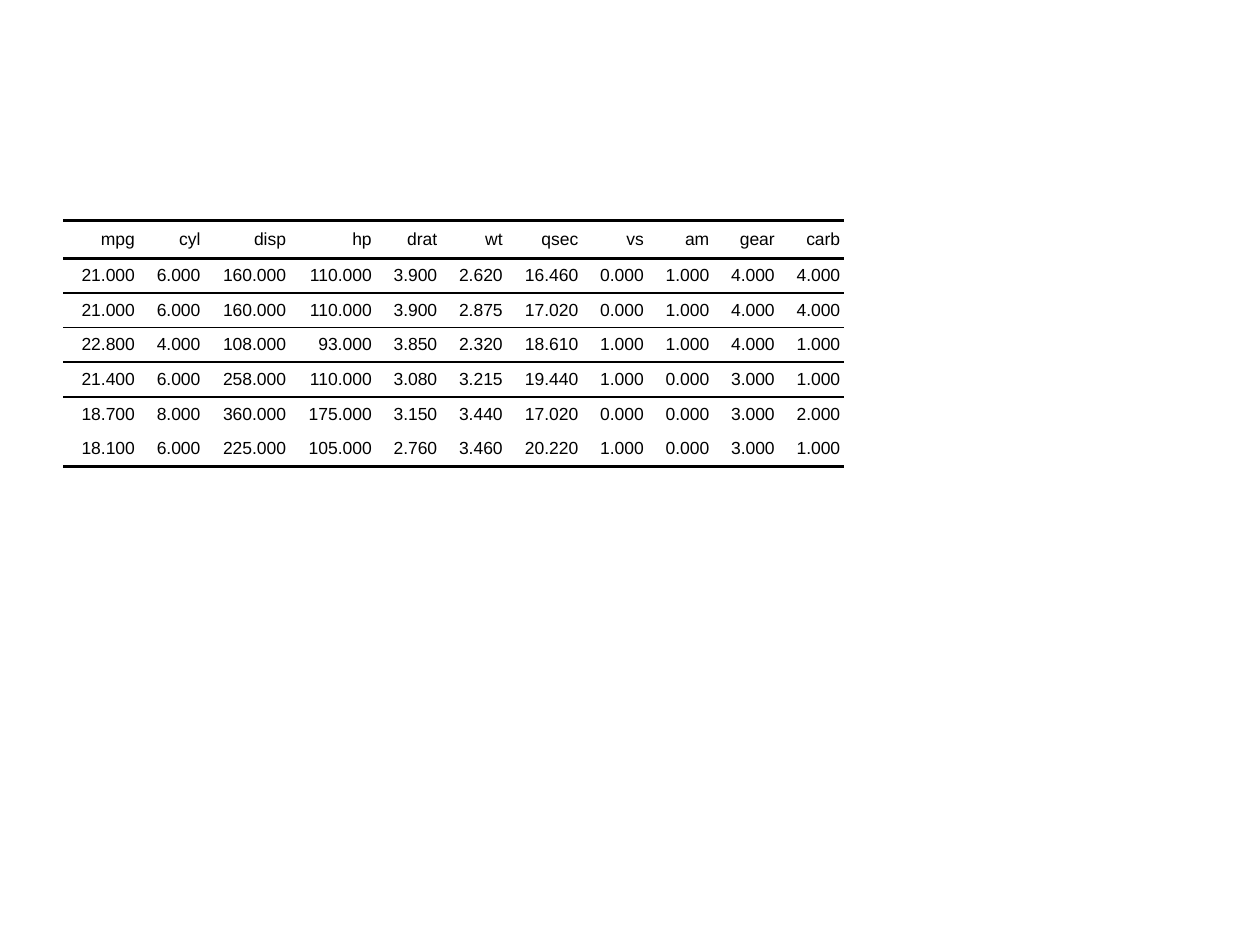
from dataclasses import dataclass
from lxml import etree
from pptx import Presentation
from pptx.dml.color import RGBColor
from pptx.enum import text
from pptx.oxml import ns
from pptx.util import Inches, Pt

BLACK = RGBColor(0, 0, 0)
THICK, THIN, NONE = 2, 1, 0
HEADER_HEIGHT = 0.3
BODY_HEIGHT = 1.65
PARAGRAPH_INDENT = Inches(0.03)


@dataclass
class Column:
    name: str
    width: float
    values: list[float]


COLUMNS = [
    Column("mpg", 0.6, [21, 21, 22.8, 21.4, 18.7, 18.1]),
    Column("cyl", 0.52, [6, 6, 4, 6, 8, 6]),
    Column("disp", 0.68, [160, 160, 108, 258, 360, 225]),
    Column("hp", 0.68, [110, 110, 93, 110, 175, 105]),
    Column("drat", 0.52, [3.9, 3.9, 3.85, 3.08, 3.15, 2.76]),
    Column("wt", 0.52, [2.62, 2.875, 2.32, 3.215, 3.44, 3.46]),
    Column("qsec", 0.6, [16.46, 17.02, 18.61, 19.44, 17.02, 20.22]),
    Column("vs", 0.52, [0, 0, 1, 1, 0, 1]),
    Column("am", 0.52, [1, 1, 1, 0, 0, 0]),
    Column("gear", 0.52, [4, 4, 4, 3, 3, 3]),
    Column("carb", 0.52, [4, 4, 1, 1, 2, 1]),
]
RULES = [THICK, THICK, THIN, THIN, THIN, THIN, NONE, THICK]


def add_border(cell, side: str, points: int) -> None:
    properties = cell._tc.get_or_add_tcPr()
    line = etree.SubElement(properties, ns.qn(f"a:ln{side}"), w=str(Pt(points)))
    if points == NONE:
        etree.SubElement(line, ns.qn("a:noFill"))
        return
    fill = etree.SubElement(line, ns.qn("a:solidFill"))
    etree.SubElement(fill, ns.qn("a:srgbClr"), val=str(BLACK))


def fill_cell(cell, content: str, top: int, bottom: int) -> None:
    cell.margin_left = cell.margin_right = Inches(0)
    cell.margin_top = cell.margin_bottom = Inches(0)
    cell.vertical_anchor = text.MSO_ANCHOR.MIDDLE
    for side, points in (("L", NONE), ("R", NONE), ("T", top), ("B", bottom)):
        add_border(cell, side, points)
    cell.fill.background()
    cell.text = content
    paragraph = cell.text_frame.paragraphs[0]
    paragraph.alignment = text.PP_ALIGN.RIGHT
    paragraph.space_before = paragraph.space_after = Pt(2)
    paragraph.font.name = "Arial"
    paragraph.font.size = Pt(10)
    paragraph.font.bold = False
    paragraph.font.color.rgb = BLACK
    properties = paragraph._p.get_or_add_pPr()
    for margin in ("marL", "marR"):
        properties.set(margin, str(PARAGRAPH_INDENT))


def add_data_table(slide, columns: list[Column]) -> None:
    body_rows = len(columns[0].values)
    frame = slide.shapes.add_table(
        body_rows + 1, len(columns), Inches(0.5), Inches(1.75), Inches(9), Inches(4.95)
    )
    table = frame.table
    table.first_row = table.horz_banding = False
    for index, row in enumerate(table.rows):
        row.height = Inches(BODY_HEIGHT / body_rows if index else HEADER_HEIGHT)
    for column_index, column in enumerate(columns):
        table.columns[column_index].width = Inches(column.width)
        contents = [column.name] + [f"{value:.3f}" for value in column.values]
        for row_index, content in enumerate(contents):
            cell = table.cell(row_index, column_index)
            fill_cell(cell, content, RULES[row_index], RULES[row_index + 1])
    frame.width, frame.height = Inches(9), Inches(4.95)


presentation = Presentation()
presentation.slide_width = Inches(10)
presentation.slide_height = Inches(7.5)
slide = presentation.slides.add_slide(presentation.slide_layouts[6])
add_data_table(slide, COLUMNS)
presentation.save("out.pptx")
